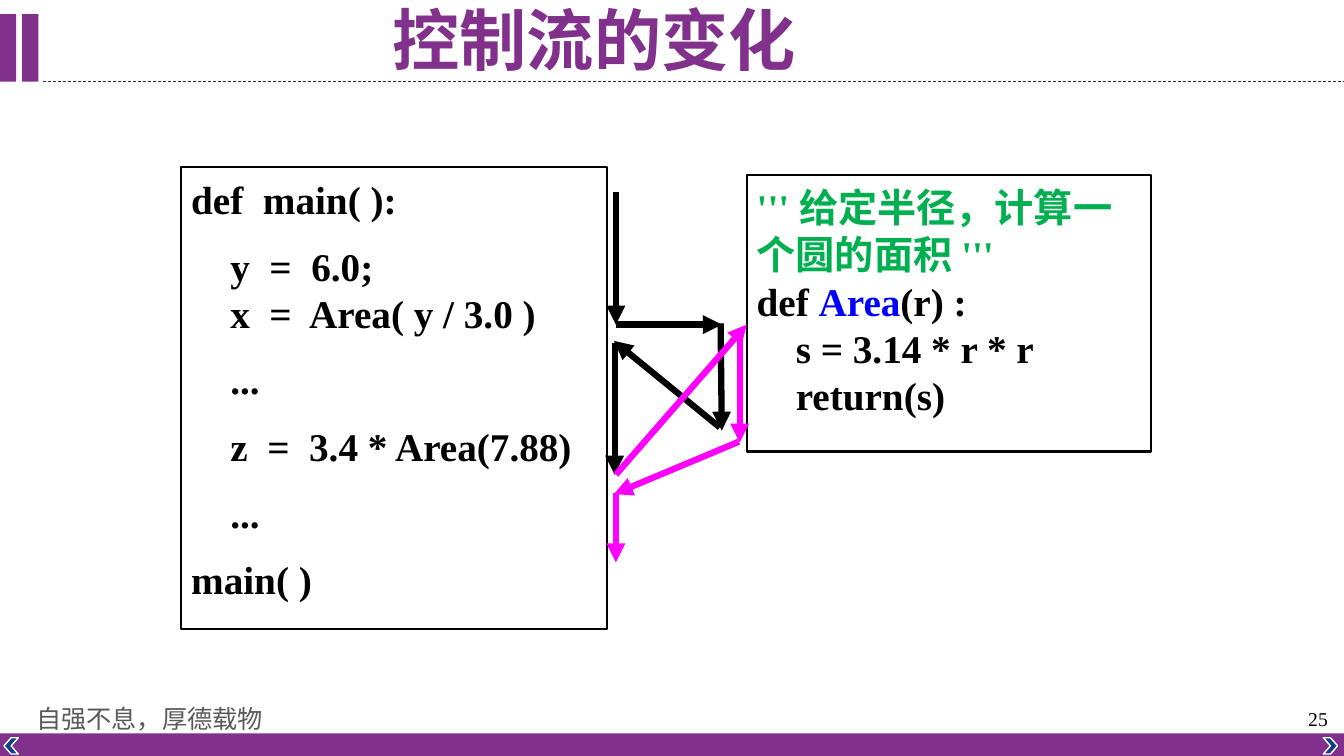
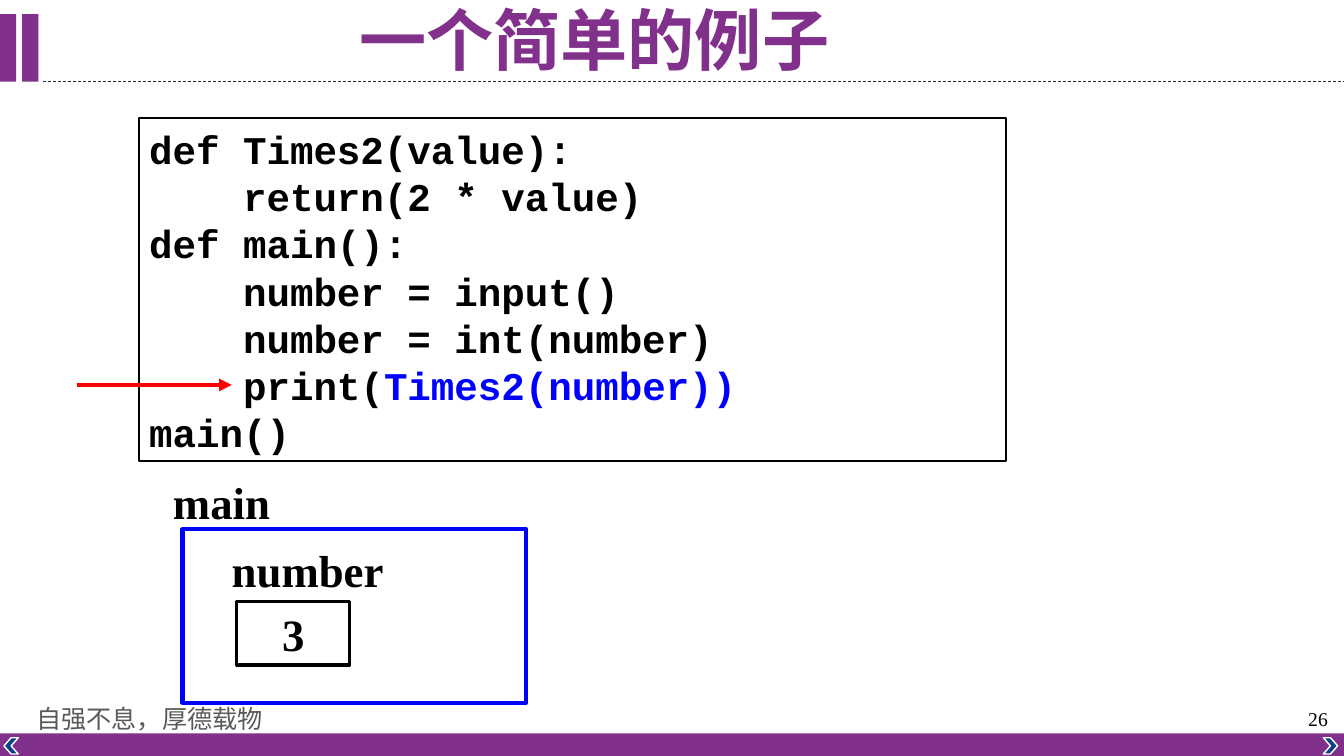
from pptx import Presentation
from pptx.dml.color import RGBColor
from pptx.enum.dml import MSO_LINE_DASH_STYLE as DASH
from pptx.enum.shapes import MSO_CONNECTOR as CONN, MSO_SHAPE as SHAPE
from pptx.enum.text import MSO_ANCHOR as ANCHOR, PP_ALIGN as ALIGN
from pptx.oxml.ns import qn
from pptx.util import Cm, Pt
from lxml import etree

COLORS = {
    "purple": "81308C", "rule": "1F2B37", "navy": "0B4189",
    "white": "FFFFFF", "black": "000000", "gray": "595959",
    "green": "00B050", "blue": "0000FF", "red": "FF0000",
    "magenta": "FF00FF",
}
CJK = "Noto Sans CJK SC"
SERIF = "Times New Roman"
MONO = "Courier New"
WIDTH, HEIGHT = 33.87, 19.05


def rgb(name):
    return RGBColor.from_string(COLORS[name])


class Deck:
    def __init__(self):
        self.prs = Presentation()
        self.prs.slide_width = Cm(WIDTH)
        self.prs.slide_height = Cm(HEIGHT)
        self.s = None

    def new_slide(self, title, number):
        self.s = self.prs.slides.add_slide(self.prs.slide_layouts[6])
        self.line((1.09, 2.06), (WIDTH, 2.06), "rule", 0.5, dash=True)
        for x in (0, 0.56):
            self.shape((x, 0.36, 0.41, 1.7), fill="purple")
        self.shape((0, 18.48, WIDTH, 0.57), fill="purple")
        for x, angle in ((33.35, 0), (0.1, 180)):
            sp = self.shape((x, 18.59, 0.36, 0.41), "navy", "white", 1, SHAPE.CHEVRON)
            sp.rotation = angle
        self.text((0.66, 17.6, 6.25, 1.02), "自强不息，厚德载物", 18, CJK, "gray",
                  bold=False, anchor=ANCHOR.MIDDLE)
        self.text((32.72, 17.68, 1.14, 0.86), str(number), 14, bold=False)
        tf = self.text((1.12, 0.13, 27.71, 1.93), title, 48, CJK, "purple",
                       align=ALIGN.CENTER, anchor=ANCHOR.MIDDLE)
        tf.paragraphs[0].line_spacing = 0.9

    def shape(self, box, fill=None, line=None, width=1.5, kind=SHAPE.RECTANGLE):
        sp = self.s.shapes.add_shape(kind, *map(Cm, box))
        sp.shadow.inherit = False
        if fill:
            sp.fill.solid()
            sp.fill.fore_color.rgb = rgb(fill)
        else:
            sp.fill.background()
        if line:
            sp.line.color.rgb = rgb(line)
            sp.line.width = Pt(width)
        else:
            sp.line.fill.background()
        return sp

    def line(self, start, end, color, width, dash=False, arrow=False):
        cn = self.s.shapes.add_connector(CONN.STRAIGHT, *map(Cm, start + end))
        cn.line.color.rgb = rgb(color)
        cn.line.width = Pt(width)
        if dash:
            cn.line.dash_style = DASH.DASH
        if arrow:
            etree.SubElement(cn.line._get_or_add_ln(), qn("a:tailEnd"), type="triangle")
        etree.SubElement(cn._element.spPr, qn("a:effectLst"))

    def arrow(self, start, end, color, width=4.5):
        self.line(start, end, color, width, arrow=True)

    def format(self, r, size, font, color, bold):
        r.font.size = Pt(size)
        r.font.name = font
        r.font.bold = bold
        r.font.color.rgb = rgb(color)
        etree.SubElement(r._r.get_or_add_rPr(), qn("a:ea"), typeface=CJK)

    def text(self, box, text, size=32, font=SERIF, color="black", bold=True,
             align=ALIGN.LEFT, anchor=ANCHOR.TOP):
        tf = self.s.shapes.add_textbox(*map(Cm, box)).text_frame
        tf.word_wrap = align == ALIGN.CENTER
        tf.vertical_anchor = anchor
        tf.text = text
        p = tf.paragraphs[0]
        p.alignment = align
        self.format(p.runs[0], size, font, color, bold)
        return tf

    def code(self, box, lines, font=SERIF, gaps=()):
        tf = self.shape(box, line="black").text_frame
        tf.word_wrap = True
        tf.vertical_anchor = ANCHOR.TOP
        tf.margin_top = Cm(0.2)
        for i, runs in enumerate(lines):
            p = tf.paragraphs[0] if i == 0 else tf.add_paragraph()
            p.alignment = ALIGN.LEFT
            p.line_spacing = Pt(33.6)
            if i in gaps:
                p.space_before = Pt(14)
            for text, color in [(runs, "black")] if isinstance(runs, str) else runs:
                r = p.add_run()
                r.text = text
                self.format(r, 28, font, color, True)

    def cell(self, box, text):
        sp = self.shape(box, line="black", width=2.25)
        tf = sp.text_frame
        tf.text = text
        tf.vertical_anchor = ANCHOR.MIDDLE
        p = tf.paragraphs[0]
        p.alignment = ALIGN.CENTER
        self.format(p.runs[0], 32, SERIF, "black", True)


def control_flow(deck):
    deck.new_slide("控制流的变化", 25)
    deck.code((4.57, 4.22, 10.72, 11.63), [
        "def  main( ):",
        "    y  =  6.0;",
        "    x  =  Area( y / 3.0 )",
        "    ...",
        "    z  =  3.4 * Area(7.88)",
        "    ...",
        "main( )",
    ], gaps=(1, 3, 4, 5, 6))
    deck.code((18.82, 4.42, 10.19, 6.96), [
        [("''' 给定半径，计算一个圆的面积 '''", "green")],
        [("def ", "black"), ("Area", "blue"), ("(r) :", "black")],
        "    s = 3.14 * r * r",
        "    return(s)",
    ])
    first_call = [
        ((15.52, 4.83), (15.52, 8.18)),
        ((15.52, 8.18), (18.19, 8.18)),
        ((18.16, 8.15), (18.19, 10.85)),
        ((18.14, 10.77), (15.47, 8.59)),
        ((15.49, 8.64), (15.49, 11.96)),
    ]
    second_call = [
        ((15.52, 11.96), (18.82, 8.18)),
        ((18.64, 8.46), (18.64, 11.15)),
        ((18.62, 11.13), (15.47, 12.45)),
        ((15.52, 12.42), (15.52, 14.17)),
    ]
    for color, steps in (("black", first_call), ("magenta", second_call)):
        for start, end in steps:
            deck.arrow(start, end, color)


def simple_example(deck):
    deck.new_slide("一个简单的例子", 26)
    deck.code((3.51, 2.97, 21.84, 8.64), [
        "def Times2(value):",
        "    return(2 * value)",
        "def main():",
        "    number = input()",
        "    number = int(number)",
        [("    print(", "black"), ("Times2(number))", "blue")],
        "main()",
    ], font=MONO)
    deck.arrow((1.93, 9.7), (5.84, 9.7), "red", 3)
    deck.shape((4.6, 13.34, 8.66, 4.37), line="blue", width=3)
    deck.text((4.11, 11.84, 2.97, 1.63), "main")
    deck.text((5.59, 13.56, 4.37, 1.63), "number")
    deck.cell((5.97, 15.16, 2.84, 1.6), "3")


def main():
    deck = Deck()
    control_flow(deck)
    simple_example(deck)
    deck.prs.save("out.pptx")


if __name__ == "__main__":
    main()
